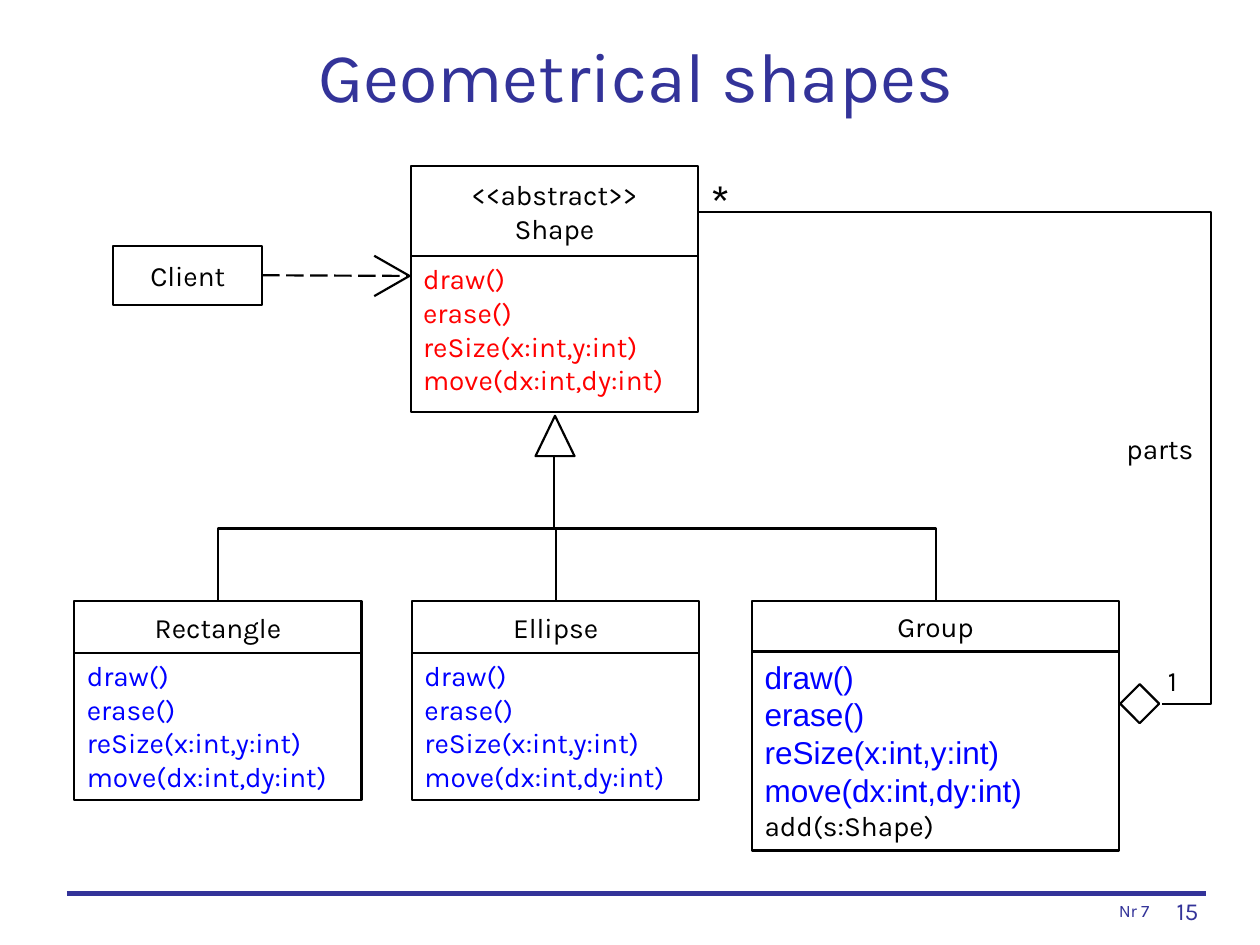
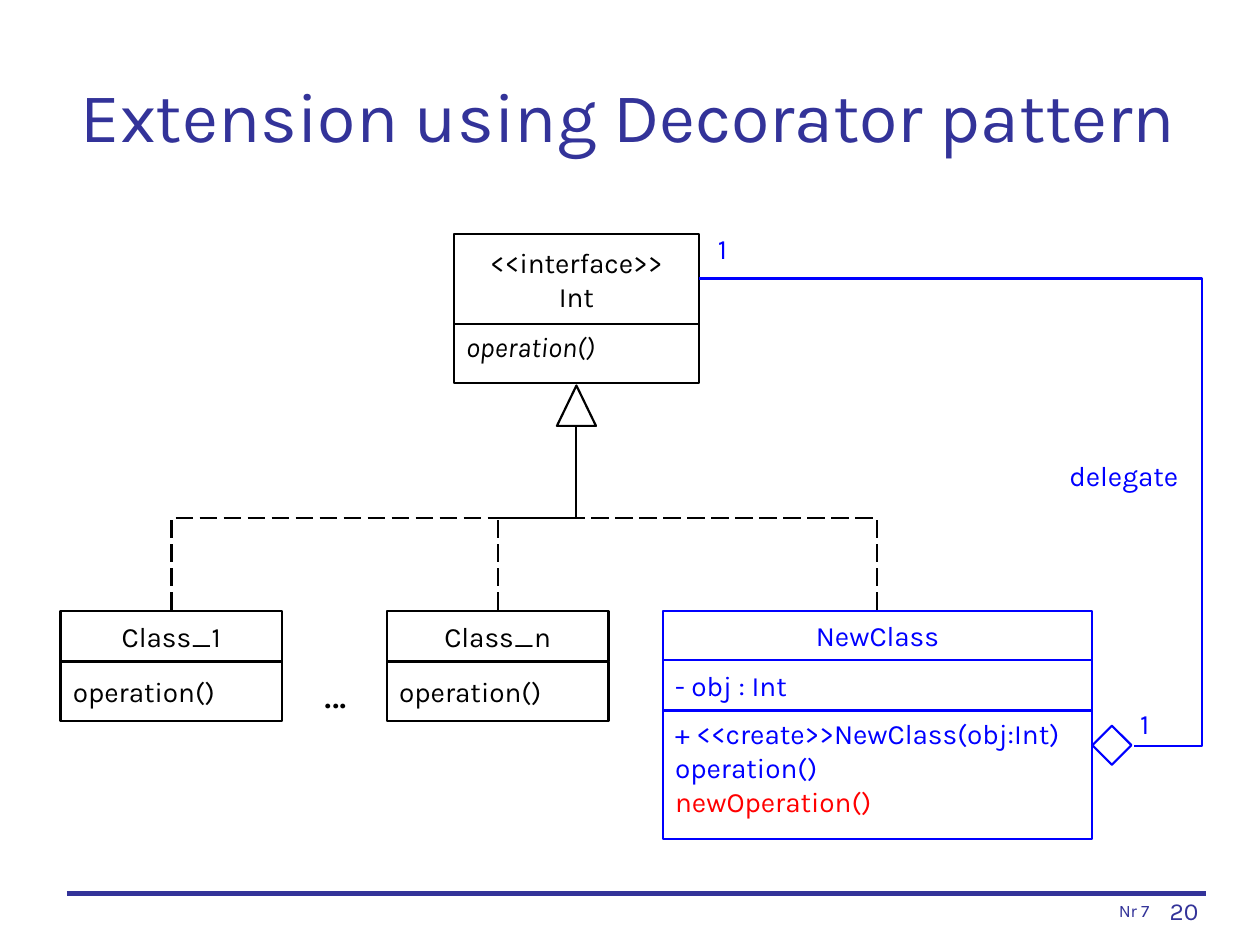
import pptx
import pptx.util
import pptx.dml.color
import pptx.enum.dml
import pptx.enum.shapes
import pptx.enum.text
import pptx.oxml.ns
from lxml import etree

Inches = pptx.util.Inches
Pt = pptx.util.Pt
qn = pptx.oxml.ns.qn
SHAPE = pptx.enum.shapes.MSO_SHAPE
CONNECTOR = pptx.enum.shapes.MSO_CONNECTOR
ALIGN = pptx.enum.text.PP_ALIGN
ANCHOR = pptx.enum.text.MSO_ANCHOR
DASH = pptx.enum.dml.MSO_LINE.LONG_DASH

COLORS = {"brand": "333399", "black": "000000", "blue": "0000FF", "red": "FF0000"}
FONT = "Karla"
OUTLINE = 1.25
MEMBERS = ["draw()", "erase()", "reSize(x:int,y:int)", "move(dx:int,dy:int)"]


def rgb(name):
    return pptx.dml.color.RGBColor.from_string(COLORS[name])


# ---- Text ----
def write(tf, lines, **style):
    """Write one paragraph per line; a line is text or (text, style changes)."""
    for i, line in enumerate(lines):
        text, changes = (line, {}) if isinstance(line, str) else line
        look = {"size": 16, "color": "black", "font": FONT, "align": ALIGN.LEFT,
                "italic": False, **style, **changes}
        p = tf.paragraphs[0] if i == 0 else tf.add_paragraph()
        p.text = text
        p.alignment = look["align"]
        p.font.name = look["font"]
        p.font.size = Pt(look["size"])
        p.font.italic = look["italic"]
        p.font.color.rgb = rgb(look["color"])


def add_label(slide, text, x, y, w, h, anchor=ANCHOR.TOP, **style):
    tf = slide.shapes.add_textbox(Inches(x), Inches(y), Inches(w), Inches(h)).text_frame
    tf.word_wrap = True
    tf.vertical_anchor = anchor
    write(tf, [text], **style)


# ---- Outlined shapes and lines ----
def set_line(sp, color, width=OUTLINE, dashed=False):
    sp.line.color.rgb = rgb(color)
    sp.line.width = Pt(width)
    if dashed:
        sp.line.dash_style = DASH


def outline(sp, color="black"):
    sp.shadow.inherit = False
    sp.fill.background()
    set_line(sp, color)


def add_outline(slide, kind, x, y, w, h, color="black"):
    sp = slide.shapes.add_shape(kind, Inches(x), Inches(y), Inches(w), Inches(h))
    outline(sp, color)
    return sp


def add_line(slide, kind, x1, y1, x2, y2, color="black", width=OUTLINE, dashed=False):
    c = slide.shapes.add_connector(kind, Inches(x1), Inches(y1), Inches(x2), Inches(y2))
    set_line(c, color, width, dashed)
    etree.SubElement(c._element.spPr, qn("a:effectLst"))
    return c


def add_inheritance(slide, x, y, parent_x, parent_y, dashed=False):
    """Elbow that leaves a subclass upwards and reaches the parent's triangle."""
    run, rise = abs(parent_x - x), y - parent_y
    left = (x + parent_x - rise) / 2
    top = (y + parent_y - run) / 2
    c = add_line(slide, CONNECTOR.ELBOW, left, top, left + rise, top + run, dashed=dashed)
    xfrm = c._element.spPr.find(qn("a:xfrm"))
    xfrm.set("flipV", "1")
    if x < parent_x:
        xfrm.set("flipH", "1")
    xfrm.set("rot", str((90 if x < parent_x else 270) * 60000))


def add_aggregation(slide, x1, y1, diamond_x, diamond_y, bend_x, color="black"):
    """Diamond, and an elbow that runs out to bend_x and comes back to it."""
    add_outline(slide, SHAPE.DIAMOND, diamond_x, diamond_y, 0.31, 0.31, color)
    x2 = diamond_x + 0.33
    c = add_line(slide, CONNECTOR.ELBOW, x1, y1, x2, diamond_y + 0.16, color)
    geom = c._element.spPr.find(qn("a:prstGeom"))
    guides = geom.find(qn("a:avLst"))
    if guides is None:
        guides = etree.SubElement(geom, qn("a:avLst"))
    bend = round((bend_x - x1) / (x2 - x1) * 100000)
    etree.SubElement(guides, qn("a:gd"), name="adj1", fmla=f"val {bend}")


def add_triangle(slide, tip_x, y):
    add_outline(slide, SHAPE.ISOSCELES_TRIANGLE, tip_x - 0.15, y, 0.31, 0.32)


def add_open_arrowhead(slide, x, y, tip_x, half):
    pen = slide.shapes.build_freeform(Inches(x), Inches(y - half))
    pen.add_line_segments([(Inches(tip_x), Inches(y)), (Inches(x), Inches(y + half))],
                          close=False)
    outline(pen.convert_to_shape())


# ---- UML class boxes ----
def add_compartment(slide, x, y, w, h, lines, line="black", anchor=ANCHOR.MIDDLE, **style):
    sp = add_outline(slide, SHAPE.RECTANGLE, x, y, w, h, line)
    tf = sp.text_frame
    tf.word_wrap = False
    tf.vertical_anchor = anchor
    write(tf, lines, **style)
    return sp


def add_class(slide, x, y, w, name_h, name, body_h, members, anchor=ANCHOR.TOP, **style):
    add_compartment(slide, x, y, w, name_h, name, align=ALIGN.CENTER)
    add_compartment(slide, x, y + name_h, w, body_h, members, anchor=anchor, **style)


# ---- Shared slide frame ----
def add_slide(prs, title, number, x, y, h):
    slide = prs.slides.add_slide(prs.slide_layouts[6])
    add_label(slide, str(number), 9.03, 7.06, 0.58, 0.33,
              size=14, color="brand", align=ALIGN.RIGHT)
    add_line(slide, CONNECTOR.STRAIGHT, 0.53, 7.09, 9.57, 7.09, "brand", 3)
    add_label(slide, "Nr 7", 7.44, 7.06, 1.78, 0.3, ANCHOR.BOTTOM,
              size=10, color="brand", align=ALIGN.RIGHT)
    add_label(slide, title, x, y, 9.07, h, ANCHOR.MIDDLE,
              size=40, color="brand", align=ALIGN.CENTER)
    return slide


def build_shapes_slide(prs):
    slide = add_slide(prs, "Geometrical shapes", 15, 0.51, 0.2, 0.79)

    # Classes
    add_class(slide, 3.26, 1.32, 2.28, 0.71, ["<<abstract>>", "Shape"], 1.24, MEMBERS,
              color="red")
    add_class(slide, 5.97, 4.77, 2.91, 0.4, ["Group"], 1.58,
              MEMBERS + [("add(s:Shape)", {"size": 16, "font": FONT, "color": "black"})],
              size=18, font="Arial", color="blue")
    for x, name in ((0.59, "Rectangle"), (3.27, "Ellipse")):
        add_class(slide, x, 4.77, 2.28, 0.41, [name], 1.17, MEMBERS, color="blue")

    # Inheritance
    add_triangle(slide, 4.4, 3.3)
    for x in (1.73, 4.41, 7.43):
        add_inheritance(slide, x, 4.77, 4.4, 3.62)

    # Client and its dependency
    client = add_compartment(slide, 0.9, 1.95, 1.18, 0.47, ["Client"], align=ALIGN.CENTER)
    add_open_arrowhead(slide, 2.97, 2.19, 3.25, 0.16)
    c = add_line(slide, CONNECTOR.STRAIGHT, 2.08, 2.19, 3.23, 2.19, dashed=True)
    c.begin_connect(client, 3)

    # Parts aggregation
    add_aggregation(slide, 5.55, 1.68, 8.89, 5.43, 9.61)
    add_label(slide, "*", 5.54, 1.31, 1.1, 0.57, size=28)
    add_label(slide, "1", 9.17, 5.22, 0.47, 0.37)
    add_label(slide, "parts", 8.47, 3.38, 1.1, 0.37, align=ALIGN.RIGHT)


def build_decorator_slide(prs):
    slide = add_slide(prs, "Extension using Decorator pattern", 20, 0.45, 0.28, 1.25)

    # New class
    for y, h, lines, anchor, align in (
            (4.85, 0.39, ["NewClass"], ANCHOR.MIDDLE, ALIGN.CENTER),
            (5.24, 0.4, ["- obj : Int"], ANCHOR.MIDDLE, ALIGN.LEFT),
            (5.64, 1.02, ["+ <<create>>NewClass(obj:Int)", "operation()",
                          ("newOperation()", {"color": "red"})], ANCHOR.TOP, ALIGN.LEFT)):
        add_compartment(slide, 5.26, y, 3.41, h, lines, "blue", anchor,
                        color="blue", align=align)

    # Interface and existing classes
    add_class(slide, 3.6, 1.86, 1.95, 0.71, ["<<interface>>", "Int"], 0.47,
              ["operation()"], italic=True)
    for x, name in ((0.48, "Class_1"), (3.07, "Class_n")):
        add_class(slide, x, 4.85, 1.76, 0.4, [name], 0.47, ["operation()"], ANCHOR.MIDDLE)
    add_label(slide, "...", 2.31, 5.24, 0.71, 0.5, size=24, align=ALIGN.CENTER)

    # Inheritance
    add_triangle(slide, 4.57, 3.06)
    for x in (1.36, 3.95, 6.96):
        add_inheritance(slide, x, 4.84, 4.57, 3.38, dashed=True)

    # Delegate aggregation
    add_aggregation(slide, 5.55, 2.21, 8.67, 5.76, 9.54, "blue")
    for x, y in ((8.95, 5.56), (5.6, 1.79)):
        add_label(slide, "1", x, y, 0.47, 0.37, color="blue")
    add_label(slide, "delegate", 8.35, 3.59, 1.1, 0.64, color="blue", align=ALIGN.RIGHT)


def main():
    prs = pptx.Presentation()
    prs.slide_width, prs.slide_height = Inches(10), Inches(7.5)
    build_shapes_slide(prs)
    build_decorator_slide(prs)
    prs.save("out.pptx")


if __name__ == "__main__":
    main()
